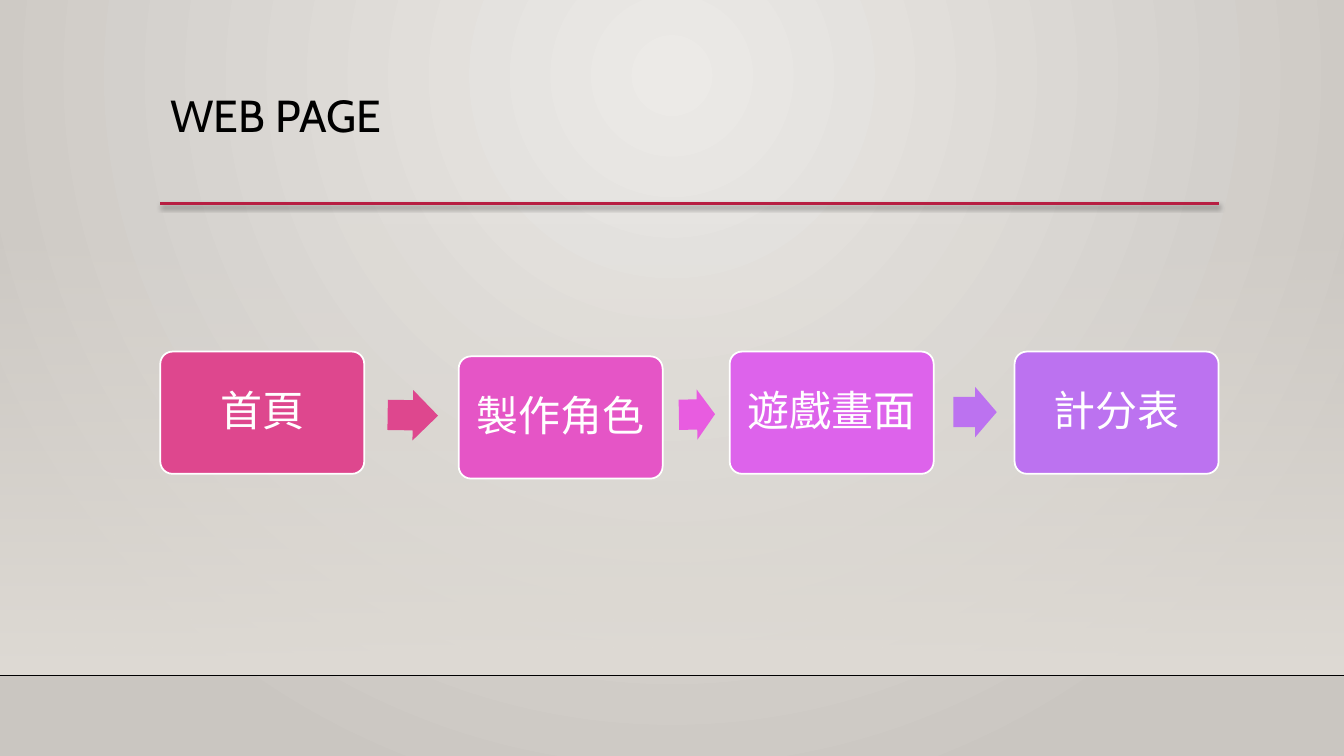
"""Build the web page flow slide."""
from lxml import etree
from pptx import Presentation
from pptx import util as u
from pptx.dml.color import RGBColor
from pptx.enum import shapes, text
from pptx.oxml import ns


def color(value):
    """Turn a hex string into a colour."""
    return RGBColor.from_string(value)


def add(parent, tag, **attributes):
    """Append a DrawingML element with the given attributes."""
    child = etree.SubElement(parent, ns.qn(tag))
    for name, value in attributes.items():
        child.set(name, str(value))
    return child


def set_format(target, values):
    """Set every attribute listed in a dict of format values."""
    for name, value in values.items():
        setattr(target, name, value)


def set_stops(fill, first, last):
    """Make a fill a two-colour gradient."""
    fill.gradient()
    for stop, value in zip(fill.gradient_stops, (first, last)):
        stop.color.rgb = color(value)


class Painter:
    """Hold the style and the current slide."""

    LATIN = "Arial"
    HEADING = "Cabin"
    WHITE = "FFFFFF"

    def __init__(self, page):
        """Keep the slide to draw on."""
        self.page = page

    def background(self, inner, outer):
        """Fill the slide with a circular gradient centred near the top."""
        set_stops(self.page.background.fill, inner, outer)
        gradient = self.page.element.find(".//" + ns.qn("a:gradFill"))
        gradient.remove(gradient.find(ns.qn("a:lin")))
        circle = add(gradient, "a:path", path="circle")
        add(circle, "a:fillToRect", l=50000, t=10000, r=50000, b=90000)

    def shape(self, kind, left, top, width, height):
        """Add a preset shape without shadow or outline."""
        box = self.page.shapes.add_shape(
            kind, u.Cm(left), u.Cm(top), u.Cm(width), u.Cm(height))
        box.shadow.inherit = False
        box.line.fill.background()
        return box

    def fade(self, top, height, value):
        """Add a full-width band fading in downwards."""
        band = self.shape(shapes.MSO_SHAPE.RECTANGLE, 0, top, 33.87, height)
        set_stops(band.fill, value, value)
        band.fill.gradient_angle = 270
        first = band.element.find(".//" + ns.qn("a:srgbClr"))
        add(first, "a:alpha", val=0)

    def rule(self, left, right, top, value, width, shadow=False):
        """Add a horizontal line, with a soft shadow if asked."""
        line = self.page.shapes.add_connector(
            shapes.MSO_CONNECTOR.STRAIGHT,
            u.Cm(left), u.Cm(top), u.Cm(right), u.Cm(top))
        line.line.color.rgb = color(value)
        line.line.width = u.Pt(width)
        effects = add(line.element.spPr, "a:effectLst")
        if shadow:
            outer = add(effects, "a:outerShdw", blurRad=u.Pt(3.1),
                        dist=u.Pt(1.8), dir=5400000, rotWithShape=0)
            black = add(outer, "a:srgbClr", val="000000")
            add(black, "a:alpha", val=35000)

    def label(self, box, words, font, size, value, paragraph, frame):
        """Put one paragraph into a shape or text box."""
        set_format(box.text_frame, {"word_wrap": True, **frame})
        para = box.text_frame.paragraphs[0]
        set_format(para, {"line_spacing": 0.9, **paragraph})
        span = para.add_run()
        span.text = words
        set_format(span.font, {"name": font, "size": u.Pt(size)})
        span.font.color.rgb = color(value)

    def title(self, words):
        """Add the slide title."""
        box = self.page.shapes.add_textbox(
            u.Cm(4.04), u.Cm(2.24), u.Cm(26.67), u.Cm(2.92))
        self.label(box, words, self.HEADING, 32, "000000", {},
                   {"vertical_anchor": text.MSO_ANCHOR.TOP})

    def step(self, words, left, top, value):
        """Add a rounded box naming one step."""
        box = self.shape(shapes.MSO_SHAPE.ROUNDED_RECTANGLE,
                         left, top, 5.14, 3.08)
        box.adjustments[0] = 0.1
        box.fill.solid()
        box.fill.fore_color.rgb = color(value)
        box.line.color.rgb = color(self.WHITE)
        box.line.width = u.Pt(1.25)
        sides = ("left", "top", "right", "bottom")
        frame = {f"margin_{side}": u.Cm(0.2) for side in sides}
        frame["vertical_anchor"] = text.MSO_ANCHOR.MIDDLE
        self.label(box, words, self.LATIN, 30, self.WHITE,
                   {"alignment": text.PP_ALIGN.CENTER,
                    "space_after": u.Pt(10.5)}, frame)

    def arrow(self, left, top, width, turn, value):
        """Add a block arrow between two steps."""
        box = self.shape(shapes.MSO_SHAPE.RIGHT_ARROW, left, top, width, 1.27)
        box.adjustments[0] = 0.6
        box.rotation = turn
        box.fill.solid()
        box.fill.fore_color.rgb = color(value)


STEPS = [
    ("首頁", 4.04, 8.86, "DE478E"),
    ("製作角色", 11.56, 8.98, "E555C6"),
    ("遊戲畫面", 18.39, 8.86, "DD63EB"),
    ("計分表", 25.57, 8.86, "BC72F0"),
]
ARROWS = [
    (9.77, 9.83, 1.27, 0.9, "DE478E"),
    (17.11, 9.81, 0.91, 359, "E85CE0"),
    (24.03, 9.75, 1.09, 0, "BC72F0"),
]


def main():
    """Draw the slide and save the deck."""
    deck = Presentation()
    set_format(deck, {"slide_width": u.Cm(33.87), "slide_height": u.Cm(19.05)})
    painter = Painter(deck.slides.add_slide(deck.slide_layouts[6]))
    painter.background("ECEAE7", "CAC6C1")
    painter.fade(5.61, 11.41, "DFDBD5")
    painter.rule(0, 33.87, 17.02, "000001", 1)
    painter.rule(4.04, 30.73, 5.13, "B71E42", 2.5, shadow=True)
    painter.title("WEB PAGE")
    for step in STEPS:
        painter.step(*step)
    for arrow in ARROWS:
        painter.arrow(*arrow)
    deck.save("out.pptx")


main()
